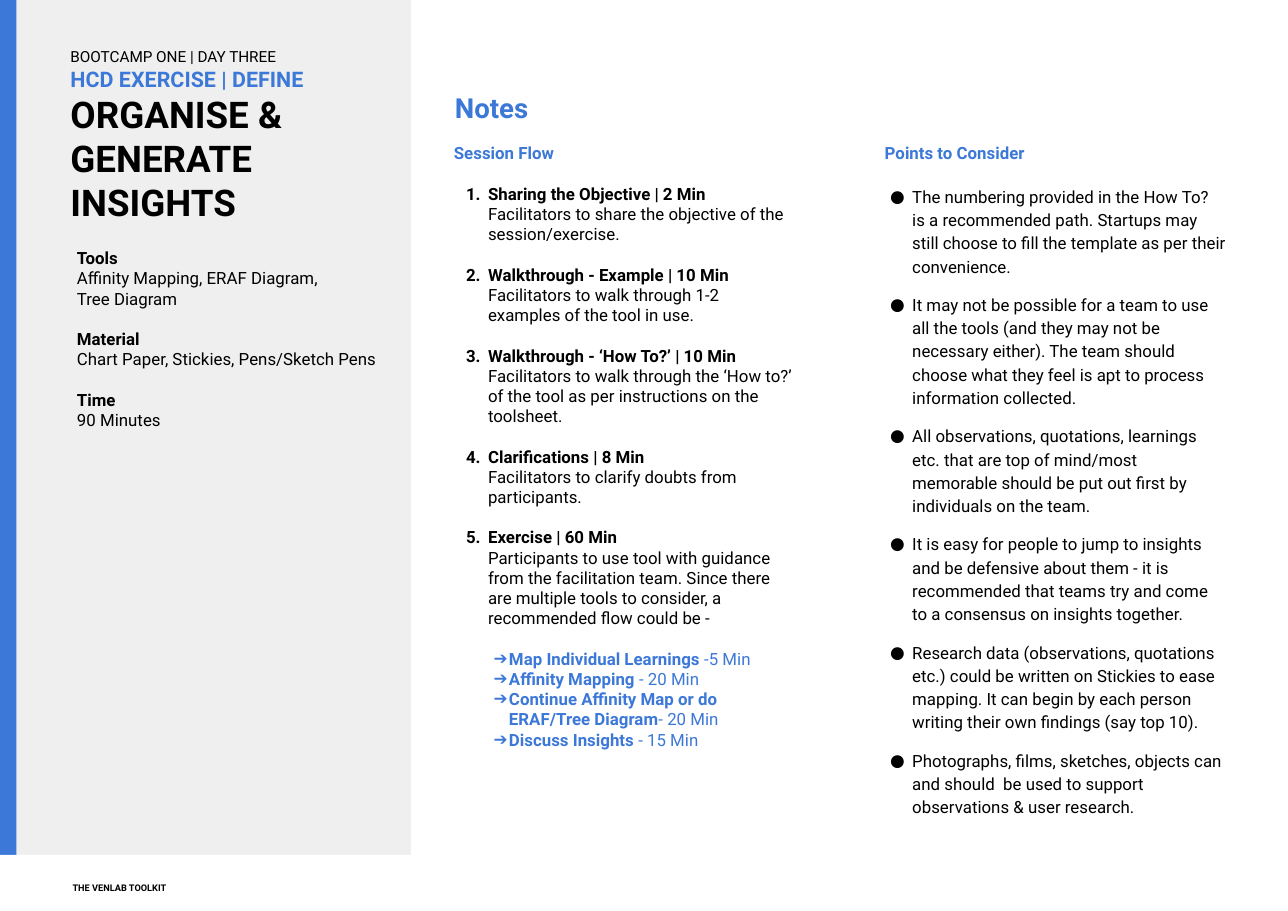
"""Build the session notes slide for the Organise & Generate Insights exercise."""
from lxml import etree
from pptx import Presentation
from pptx.dml.color import RGBColor
from pptx.enum.shapes import MSO_SHAPE
from pptx.enum.text import MSO_ANCHOR
from pptx.oxml.ns import qn
from pptx.util import Inches, Pt

RECTANGLE = MSO_SHAPE.RECTANGLE
TOP, MIDDLE, BOTTOM = MSO_ANCHOR.TOP, MSO_ANCHOR.MIDDLE, MSO_ANCHOR.BOTTOM
BLUE = RGBColor(0x3C, 0x78, 0xD8)
BLACK = RGBColor(0, 0, 0)
WHITE = RGBColor(255, 255, 255)
GREY = RGBColor(0xEF, 0xEF, 0xEF)
FONT = "Roboto"
BODY_SIZE = 11
BLANK_LINE = 13.2

TITLE_LINES = [
    ("BOOTCAMP ONE | DAY THREE", 10, BLACK, False),
    ("HCD EXERCISE | DEFINE", 14, BLUE, True),
    ("ORGANISE & GENERATE INSIGHTS", 24, BLACK, True),
]
FACTS = [
    ("Tools", ["Affinity Mapping, ERAF Diagram,", "Tree Diagram"]),
    ("Material", ["Chart Paper, Stickies, Pens/Sketch Pens"]),
    ("Time", ["90 Minutes"]),
]
SESSION_STEPS = [
    ("Sharing the Objective | 2 Min",
     "Facilitators to share the objective of the session/exercise."),
    ("Walkthrough - Example | 10 Min",
     "Facilitators to walk through 1-2 examples of the tool in use."),
    ("Walkthrough - ‘How To?’ | 10 Min",
     "Facilitators to walk through the ‘How to?’ of the tool as per "
     "instructions on the toolsheet."),
    ("Clarifications | 8 Min",
     "Facilitators to clarify doubts from participants."),
    ("Exercise | 60 Min",
     "Participants to use tool with guidance from the facilitation team. "
     "Since there are multiple tools to consider, a recommended flow could be -"),
]
EXERCISE_FLOW = [
    ("Map Individual Learnings ", "-5 Min"),
    ("Affinity Mapping ", "- 20 Min"),
    ("Continue Affinity Map or do ERAF/Tree Diagram", "- 20 Min"),
    ("Discuss Insights ", "- 15 Min"),
]
POINTS = [
    "The numbering provided in the How To? is a recommended path. Startups may "
    "still choose to fill the template as per their convenience.",
    "It may not be possible for a team to use all the tools (and they may not be "
    "necessary either). The team should choose what they feel is apt to process "
    "information collected.",
    "All observations, quotations, learnings etc. that are top of mind/most "
    "memorable should be put out first by individuals on the team.",
    "It is easy for people to jump to insights and be defensive about them - it is "
    "recommended that teams try and come to a consensus on insights together.",
    "Research data (observations, quotations etc.) could be written on Stickies to "
    "ease mapping. It can begin by each person writing their own findings (say top 10).",
    "Photographs, films, sketches, objects can and should  be used to support "
    "observations & user research.",
]


def add_block(page, left, top, width, height, color):
    block = page.shapes.add_shape(
        RECTANGLE, Inches(left), Inches(top), Inches(width), Inches(height))
    block.shadow.inherit = False
    block.fill.solid()
    block.fill.fore_color.rgb = color
    block.line.fill.background()


def add_box(page, left, top, width, height, inset=0.1, anchor=TOP):
    box = page.shapes.add_textbox(
        Inches(left), Inches(top), Inches(width), Inches(height))
    frame = box.text_frame
    frame.word_wrap = True
    frame.vertical_anchor = anchor
    frame.margin_left = frame.margin_right = Inches(inset)
    frame.margin_top = frame.margin_bottom = Inches(inset)
    return frame


def add_para(frame, before=0, spacing=1.0):
    first = frame.paragraphs[0]
    para = frame.add_paragraph() if first.runs else first
    para.space_before = Pt(before)
    para.line_spacing = spacing
    return para


def add_span(para, text, size=BODY_SIZE, color=BLACK, bold=False):
    span = para.add_run()
    span.text = text
    span.font.name = FONT
    span.font.size = Pt(size)
    span.font.bold = bold
    span.font.color.rgb = color


def set_indent(para, margin, hanging=0.0):
    properties = para._p.get_or_add_pPr()
    properties.set("marL", str(Inches(margin)))
    properties.set("indent", str(-Inches(hanging)))
    return properties


def add_marker(para, margin, hanging, color, tag, **attributes):
    properties = set_indent(para, margin, hanging)
    marker_color = etree.SubElement(properties, qn("a:buClr"))
    etree.SubElement(marker_color, qn("a:srgbClr"), val=str(color))
    etree.SubElement(properties, qn("a:buFont"), typeface=FONT)
    etree.SubElement(properties, qn(tag), **attributes)


def add_side_panel(page):
    add_block(page, 0, 0, 3.73, 8.27, GREY)
    title = add_box(page, 0.51, 0.95, 3.12, 1.21, 0.13, BOTTOM)
    for text, size, color, bold in TITLE_LINES:
        add_span(add_para(title), text, size, color, bold)
    facts = add_box(page, 0.6, 2.15, 3.28, 2.14)
    for index, (label, lines) in enumerate(FACTS):
        add_span(add_para(facts, BLANK_LINE if index else 0), label, bold=True)
        for line in lines:
            add_span(add_para(facts), line)
    add_block(page, 0, 0, 0.15, 8.27, BLUE)


def add_session_flow(page):
    flow = add_box(page, 3.99, 1.17, 3.36, 5.94, 0.13)
    add_span(add_para(flow), "Session Flow", color=BLUE, bold=True)
    for number, (heading, detail) in enumerate(SESSION_STEPS, 1):
        para = add_para(flow, BLANK_LINE)
        add_marker(para, 0.31, 0.2, BLACK, "a:buAutoNum",
                   type="arabicPeriod", startAt=str(number))
        add_span(para, heading, bold=True)
        para = add_para(flow)
        set_indent(para, 0.31)
        add_span(para, detail)
    for index, (activity, duration) in enumerate(EXERCISE_FLOW):
        para = add_para(flow, 0 if index else BLANK_LINE)
        add_marker(para, 0.5, 0.14, BLUE, "a:buChar", char="➔")
        add_span(para, activity, color=BLUE, bold=True)
        add_span(para, duration, color=BLUE)


def add_points(page):
    points = add_box(page, 7.9, 1.17, 3.36, 6.37, 0.13)
    add_span(add_para(points), "Points to Consider", color=BLUE, bold=True)
    for index, point in enumerate(POINTS):
        para = add_para(points, 10 if index else BLANK_LINE, 1.15)
        add_marker(para, 0.25, 0.2, BLACK, "a:buChar", char="●")
        add_span(para, point)


def main():
    deck = Presentation()
    deck.slide_width, deck.slide_height = Inches(11.69), Inches(8.27)
    page = deck.slides.add_slide(deck.slide_layouts[6])
    add_side_panel(page)
    notes = add_box(page, 4.03, 0.63, 3.28, 0.69, anchor=MIDDLE)
    add_span(add_para(notes), "Notes", 18, BLUE, True)
    add_session_flow(page)
    add_points(page)
    add_block(page, 0, 7.76, 11.69, 0.51, WHITE)
    footer = add_box(page, 0.56, 7.87, 4.61, 0.29, anchor=BOTTOM)
    add_span(add_para(footer), "THE VENLAB TOOLKIT", 6, BLACK, True)
    deck.save("out.pptx")


if __name__ == "__main__":
    main()
